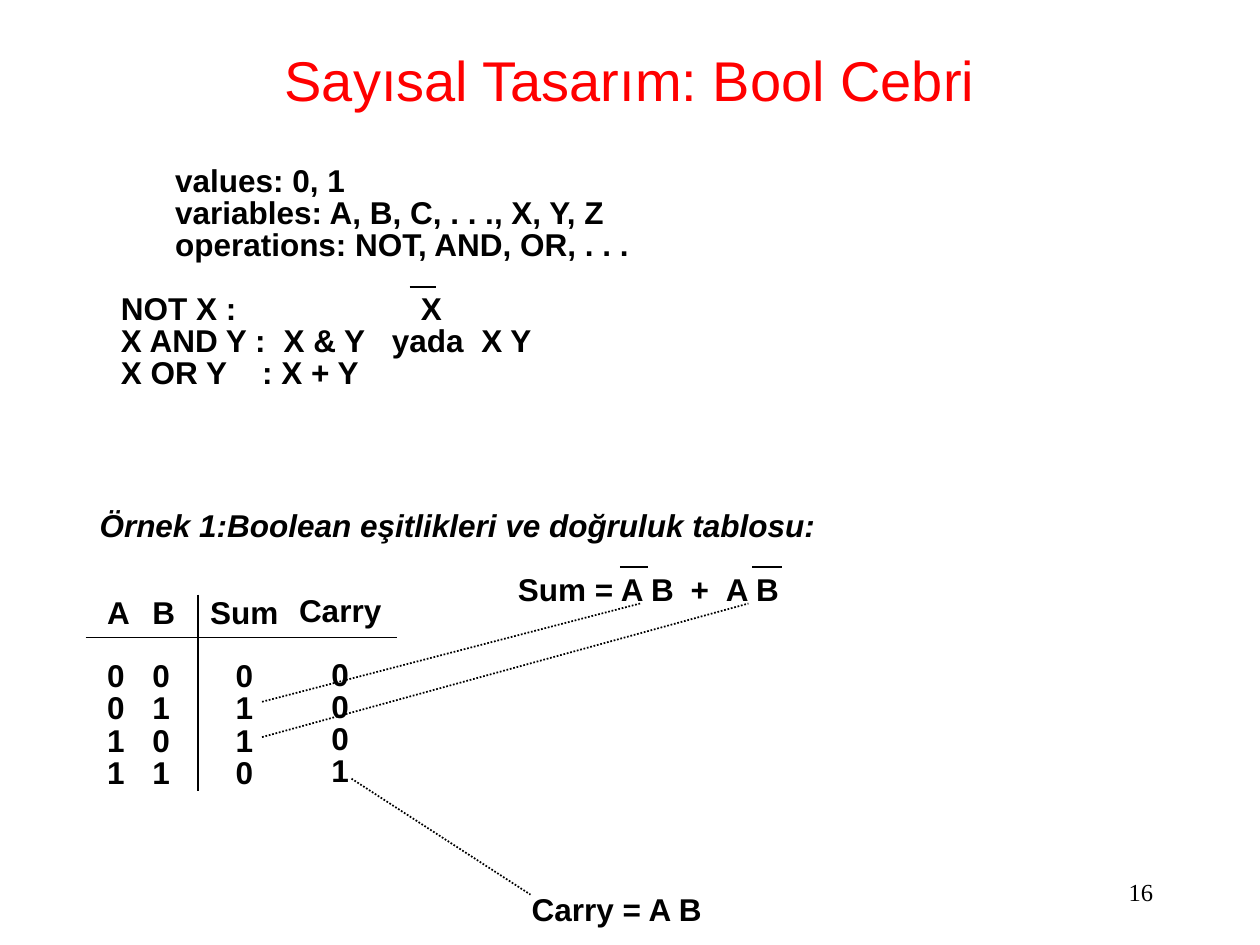
import pptx
import pptx.util
import pptx.dml.color
import pptx.enum.dml
import pptx.enum.shapes
import pptx.enum.text
from lxml import etree
from pptx.oxml.ns import qn

Inches = pptx.util.Inches
Pt = pptx.util.Pt
ALIGN = pptx.enum.text.PP_ALIGN
ANCHOR = pptx.enum.text.MSO_ANCHOR
COLORS = {"ink": "000000", "title": "FF0000"}
ROW = 18  # height of one text line in points


def color(name):
    return pptx.dml.color.RGBColor.from_string(COLORS[name])


def add_box(slide, at, text, size=18, font="Arial", ink="ink", align=ALIGN.LEFT):
    shape = slide.shapes.add_textbox(*map(Inches, at))
    frame = shape.text_frame
    frame.text = text
    for para in frame.paragraphs:
        para.alignment = align
        for run in para.runs:
            run.font.size = Pt(size)
            run.font.name = font
            run.font.color.rgb = color(ink)
    return frame


def add_note(slide, at, text, align=ALIGN.LEFT, italic=False):
    """Add tightly spaced bold text in a box that fits it."""
    frame = add_box(slide, at, text, align=align)
    frame.word_wrap = False
    frame.auto_size = pptx.enum.text.MSO_AUTO_SIZE.SHAPE_TO_FIT_TEXT
    frame.margin_left = frame.margin_right = Inches(0.07)
    frame.margin_top = frame.margin_bottom = Inches(0.03)
    for para in frame.paragraphs:
        para.line_spacing = 0.85
        for run in para.runs:
            run.font.bold = True
            run.font.italic = italic
    return frame


def set_tabs(para, stops):
    tabs = etree.SubElement(para._p.get_or_add_pPr(), qn("a:tabLst"))
    for stop in stops:
        etree.SubElement(tabs, qn("a:tab"), pos=str(Inches(stop)), algn="l")


def add_column(slide, left, top, width, head, bits, align):
    """Add one truth table column, its values one line below the head."""
    text = "\n".join([head, *bits])
    frame = add_note(slide, (left, top, width, 1.59), text, align)
    frame.paragraphs[1].space_before = Pt(ROW)


def add_line(slide, x1, y1, x2, y2, dotted=False):
    line = slide.shapes.add_connector(
        pptx.enum.shapes.MSO_CONNECTOR.STRAIGHT,
        Inches(x1), Inches(y1), Inches(x2), Inches(y2))
    line.line.color.rgb = color("ink")
    line.line.width = Pt(1)
    if dotted:
        line.line.dash_style = pptx.enum.dml.MSO_LINE.ROUND_DOT
    etree.SubElement(line._element.spPr, qn("a:effectLst"))


def add_rules(slide):
    add_note(slide, (1.32, 1.29, 3.78, 0.82),
             "values: 0, 1\nvariables: A, B, C, . . ., X, Y, Z\n"
             "operations: NOT, AND, OR, . . .")
    rules = add_note(slide, (0.89, 2.31, 3.42, 0.82),
                     "NOT X :\tX\nX AND Y :\tX & Y\tyada\tX Y\nX OR Y\t: X + Y")
    stops = [[2.38], [1.29, 2.15, 2.86], [1.12]]
    for para, row in zip(rules.paragraphs, stops):
        set_tabs(para, row)
    add_line(slide, 3.25, 2.28, 3.46, 2.28)


def add_truth(slide):
    columns = [
        (0.78, 4.72, 0.32, "A", "0011", ALIGN.LEFT),
        (1.14, 4.72, 0.32, "B", "0101", ALIGN.LEFT),
        (1.56, 4.72, 0.76, "Sum", "0110", ALIGN.CENTER),
        (2.26, 4.71, 0.88, "Carry", "0001", ALIGN.CENTER),
    ]
    for column in columns:
        add_column(slide, *column)
    add_line(slide, 0.68, 5.06, 3.15, 5.06)
    add_line(slide, 1.57, 4.72, 1.57, 6.28)


def add_sums(slide):
    total = add_note(slide, (4.04, 4.54, 2.25, 0.31), "Sum = A B\t+\tA B")
    set_tabs(total.paragraphs[0], [1.37, 1.65])
    for left, right in [(4.92, 5.14), (5.97, 6.21)]:
        add_line(slide, left, 4.5, right, 4.5)
    add_note(slide, (4.15, 7.08, 1.51, 0.31), "Carry = A B")
    for ends in [(2.08, 5.57, 5.08, 4.79), (2.08, 5.85, 5.94, 4.79),
                 (2.79, 6.18, 4.21, 7.1)]:
        add_line(slide, *ends, dotted=True)


def main():
    deck = pptx.Presentation()
    deck.slide_width, deck.slide_height = Inches(10), Inches(7.5)
    slide = deck.slides.add_slide(deck.slide_layouts[6])
    number = add_box(slide, (7.17, 6.83, 2.08, 0.5), "16", 14,
                     "Times New Roman", align=ALIGN.RIGHT)
    title = add_box(slide, (0.75, 0, 8.5, 1.25), "Sayısal Tasarım: Bool Cebri",
                    32, ink="title", align=ALIGN.CENTER)
    for frame in (number, title):
        frame.word_wrap = True
        frame.vertical_anchor = ANCHOR.MIDDLE
    add_rules(slide)
    add_note(slide, (0.72, 4.03, 5.89, 0.31),
             "Örnek 1:Boolean eşitlikleri ve doğruluk tablosu:", italic=True)
    add_truth(slide)
    add_sums(slide)
    deck.save("out.pptx")


if __name__ == "__main__":
    main()
